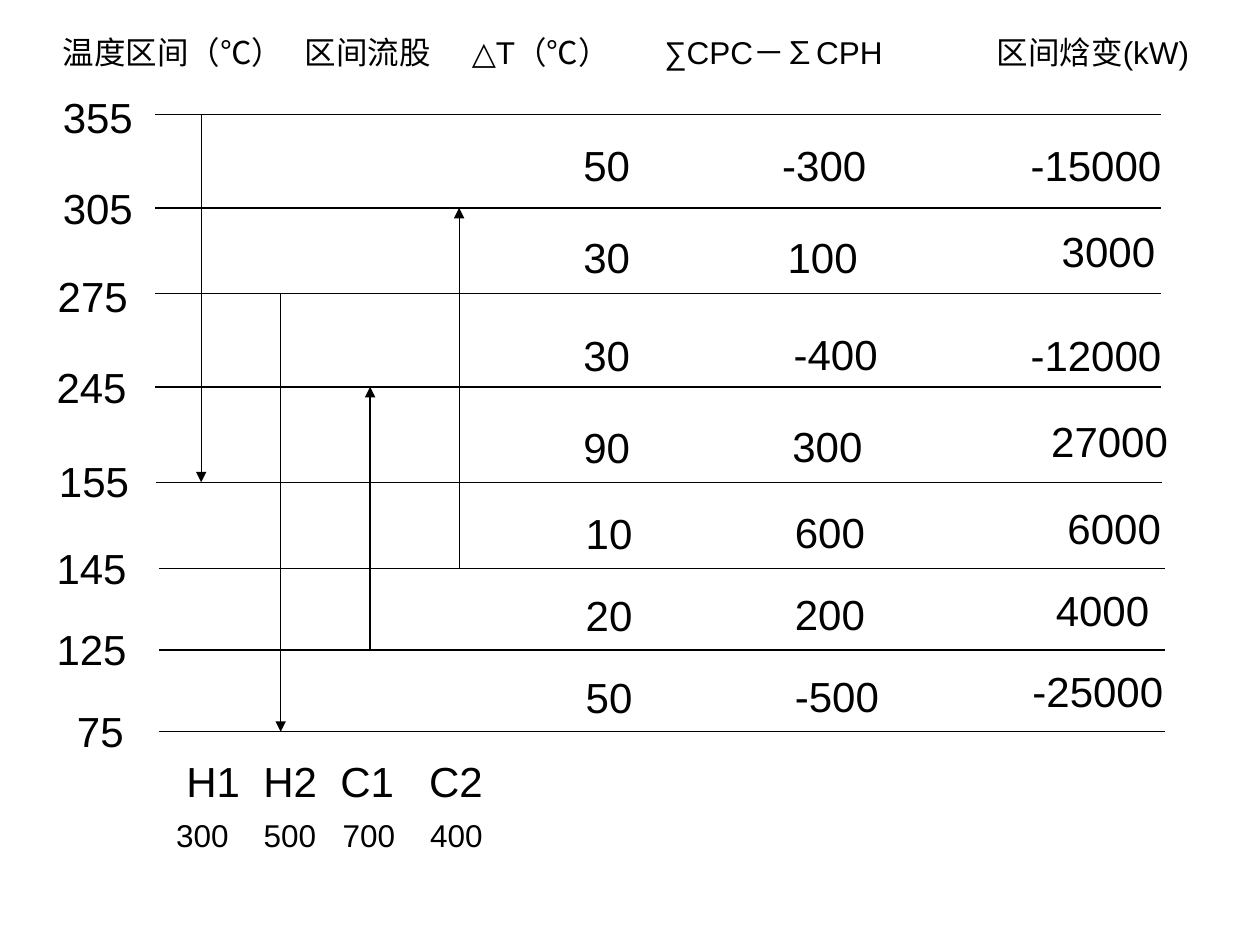
from pptx import Presentation
from pptx.dml.color import RGBColor
from pptx.enum.shapes import MSO_CONNECTOR as Connector
from pptx.oxml.ns import qn
from pptx.util import Pt
from lxml.etree import SubElement

BLACK = RGBColor(0, 0, 0)
LINE_LENGTH = 574.8

presentation = Presentation()
presentation.slide_width = Pt(720)
presentation.slide_height = Pt(540)
slide = presentation.slides.add_slide(presentation.slide_layouts[6])


def add_label(text, left, top, width, size=24):
    height = 36 if size == 24 else 28.8
    shape = slide.shapes.add_textbox(Pt(left), Pt(top), Pt(width), Pt(height))
    text_frame = shape.text_frame
    text_frame.word_wrap = True
    text_frame.text = text
    font = text_frame.paragraphs[0].runs[0].font
    font.name = "Arial"
    font.size = Pt(size)
    font.color.rgb = BLACK


def add_line(start_x, start_y, end_x, end_y, arrow=False):
    connector = slide.shapes.add_connector(
        Connector.STRAIGHT, Pt(start_x), Pt(start_y), Pt(end_x), Pt(end_y))
    connector.line.color.rgb = BLACK
    connector.line.width = Pt(0.75)
    if arrow:
        SubElement(connector.line._get_or_add_ln(), qn("a:tailEnd"), type="triangle")
    SubElement(connector._element.spPr, qn("a:effectLst"))


# Column headings: text, left, width
headings = [
    ("温度区间（℃）", 28.8, 145),
    ("区间流股", 167, 95),
    ("△T（℃）", 262.5, 115),
    ("∑CPC－∑CPH", 372.5, 170),
    ("区间焓变(kW)", 562.5, 140),
]
for text, left, width in headings:
    add_label(text, left, 15.1, width, size=18)

# Temperature levels: text, label left, label top, line left, line y
levels = [
    ("355", 28.8, 49, 88.5, 65.4),
    ("305", 28.8, 100.8, 88.5, 118.8),
    ("275", 25.9, 151.2, 88.5, 167.6),
    ("245", 25.2, 203, 88.5, 221.1),
    ("155", 26.6, 257, 89.4, 275.6),
    ("145", 25.2, 306.7, 90.8, 324.8),
    ("125", 25.2, 352.8, 90.8, 371.4),
    ("75", 36.9, 399.6, 90.8, 418.2),
]
line_y = {}
for text, left, top, line_left, y in levels:
    add_label(text, left, top, 62)
    add_line(line_left, y, line_left + LINE_LENGTH, y)
    line_y[text] = y

# Intervals: (text, left, top) for temperature difference, CP difference, enthalpy
intervals = [
    (("50", 326.2, 76.3), ("-300", 439.9, 76.3), ("-15000", 581.8, 76.3)),
    (("30", 326.2, 128.9), ("100", 443, 128.9), ("3000", 599.6, 125.3)),
    (("30", 326.2, 185), ("-400", 446.4, 184.3), ("-12000", 581.8, 185)),
    (("90", 326.2, 237.6), ("300", 445.7, 236.9), ("27000", 593.6, 234)),
    (("10", 327.6, 286.6), ("600", 447.1, 285.8), ("6000", 602.9, 283.7)),
    (("20", 327.6, 333.4), ("200", 447.1, 332.6), ("4000", 596.2, 330.5)),
    (("50", 327.6, 380.2), ("-500", 447.1, 379.4), ("-25000", 582.9, 376.6)),
]
for interval in intervals:
    for (text, left, top), width in zip(interval, (57, 73, 110)):
        add_label(text, left, top, width)

# Streams: name, name left, CP, CP left, arrow x, start and end temperature
streams = [
    ("H1", 99.4, "300", 93.6, 115, "355", "155"),
    ("H2", 143.4, "500", 143.6, 160.4, "275", "75"),
    ("C1", 187.4, "700", 188.7, 211.5, "125", "245"),
    ("C2", 238.1, "400", 238.7, 262.4, "145", "305"),
]
for name, name_left, capacity, capacity_left, x, start, end in streams:
    add_label(name, name_left, 428.4, 52)
    add_label(capacity, capacity_left, 463, 52, size=18)
    add_line(x, line_y[start], x, line_y[end], arrow=True)

presentation.save("out.pptx")
